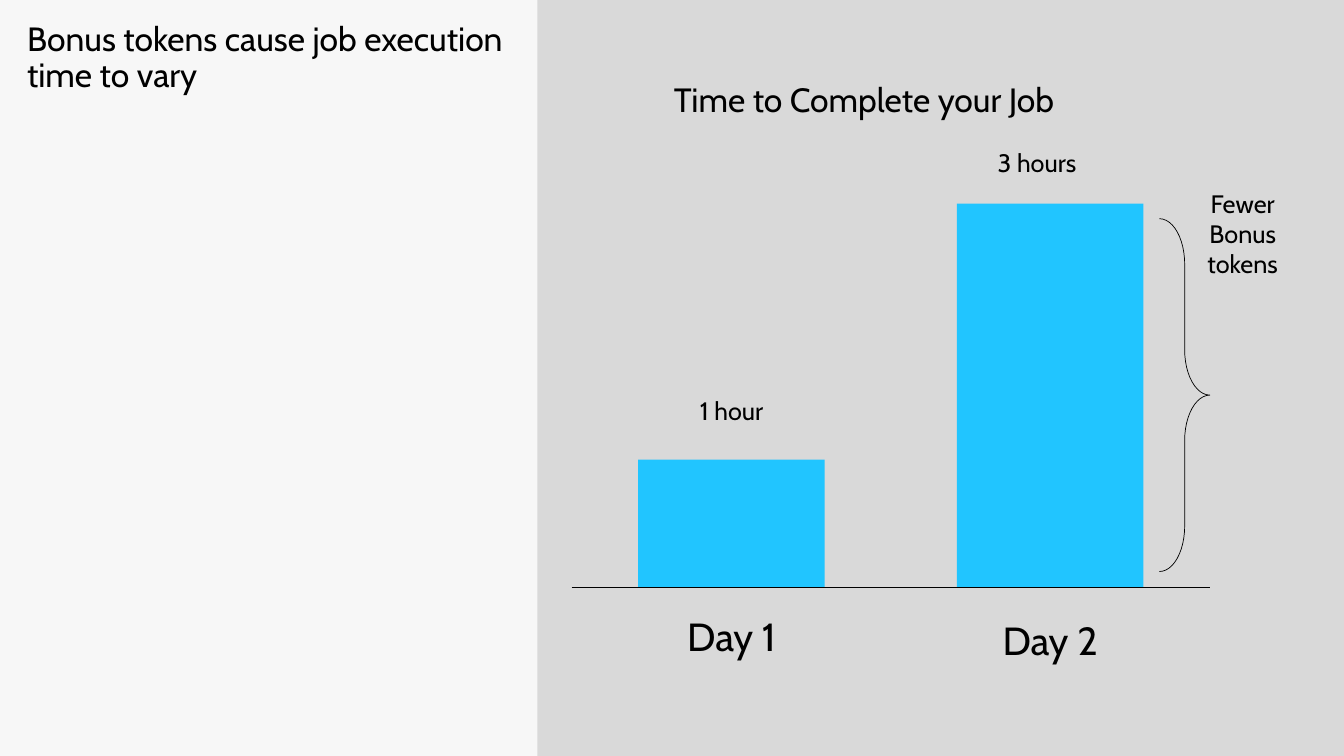
from typing import NamedTuple

from lxml import etree
from pptx import Presentation
from pptx import util as u
from pptx.dml.color import RGBColor
from pptx.enum import shapes, text
from pptx.oxml.ns import qn

PAPER = RGBColor(0xF7, 0xF7, 0xF7)
PANEL = RGBColor(0xD9, 0xD9, 0xD9)
BLUE = RGBColor(0x21, 0xC5, 0xFF)
BLACK = RGBColor(0, 0, 0)
FONT = "Cabin"
BASE = 5.83  # height of the axis on the slide
HOUR = 1.27  # bar height for one hour
WIDE = 1.85  # width of bars and their labels
TALL = 0.63  # height of labels


class Bar(NamedTuple):
    left: float
    hours: int


class Label(NamedTuple):
    words: str
    left: float
    top: float
    size: int
    width: float = WIDE
    height: float = TALL
    align: text.PP_ALIGN = text.PP_ALIGN.CENTER
    anchor: text.MSO_ANCHOR = text.MSO_ANCHOR.MIDDLE


BARS = [Bar(6.33, 1), Bar(9.49, 3)]
TITLE = Label("Bonus tokens cause job execution time to vary", 0.17, 0.17, 24,
              4.92, 7.17, text.PP_ALIGN.LEFT, text.MSO_ANCHOR.TOP)
LABELS = [
    Label("Day 1", 6.33, 5.99, 28),
    Label("Day 2", 9.49, 6.03, 28),
    Label("1 hour", 6.33, 3.76, 18),
    Label("3 hours", 9.36, 1.3, 18),
    Label("Time to Complete your Job", 5.93, 0.67, 24, width=5.28),
    Label("Fewer\nBonus\ntokens", 11.4, 2, 18),
]


def add_block(slide, left: float, top: float, width: float, height: float,
              color: RGBColor):
    block = slide.shapes.add_shape(
        shapes.MSO_SHAPE.RECTANGLE, u.Inches(left), u.Inches(top),
        u.Inches(width), u.Inches(height))
    block.shadow.inherit = False
    block.fill.solid()
    block.fill.fore_color.rgb = color
    block.line.fill.background()
    return block


def add_label(slide, label: Label):
    box = slide.shapes.add_textbox(
        u.Inches(label.left), u.Inches(label.top),
        u.Inches(label.width), u.Inches(label.height))
    frame = box.text_frame
    frame.word_wrap = True
    frame.vertical_anchor = label.anchor
    frame.text = label.words
    for para in frame.paragraphs:
        para.alignment = label.align
        for run in para.runs:
            run.font.name = FONT
            run.font.size = u.Pt(label.size)
            run.font.color.rgb = BLACK
    return box


def set_line(line) -> None:
    line.color.rgb = BLACK
    line.width = u.Pt(0.5)


def add_axis(slide) -> None:
    axis = slide.shapes.add_connector(
        shapes.MSO_CONNECTOR.STRAIGHT, u.Inches(5.67), u.Inches(BASE),
        u.Inches(12), u.Inches(BASE))
    set_line(axis.line)
    etree.SubElement(axis._element.spPr, qn("a:effectLst"))


def add_brace(slide) -> None:
    brace = slide.shapes.add_shape(
        shapes.MSO_SHAPE.RIGHT_BRACE, u.Inches(11.5), u.Inches(2.17),
        u.Inches(0.5), u.Inches(3.5))
    brace.shadow.inherit = False
    brace.fill.background()
    set_line(brace.line)
    brace.adjustments[0] = 0.9
    brace.adjustments[1] = 0.5


def main() -> None:
    deck = Presentation()
    deck.slide_width = u.Inches(13.33)
    deck.slide_height = u.Inches(7.5)
    slide = deck.slides.add_slide(deck.slide_layouts[6])

    # Background and right panel
    slide.background.fill.solid()
    slide.background.fill.fore_color.rgb = PAPER
    add_block(slide, 5.33, 0, 8, 7.5, PANEL)

    # Bars stand on the axis
    for bar in BARS:
        height = bar.hours * HOUR
        add_block(slide, bar.left, BASE - height, WIDE, height, BLUE)
    add_axis(slide)
    add_brace(slide)

    # Labels and title
    for label in LABELS:
        add_label(slide, label)
    title = add_label(slide, TITLE).text_frame.paragraphs[0]
    title.line_spacing = 0.9
    title.space_before = u.Pt(10)

    deck.save("out.pptx")


if __name__ == "__main__":
    main()
